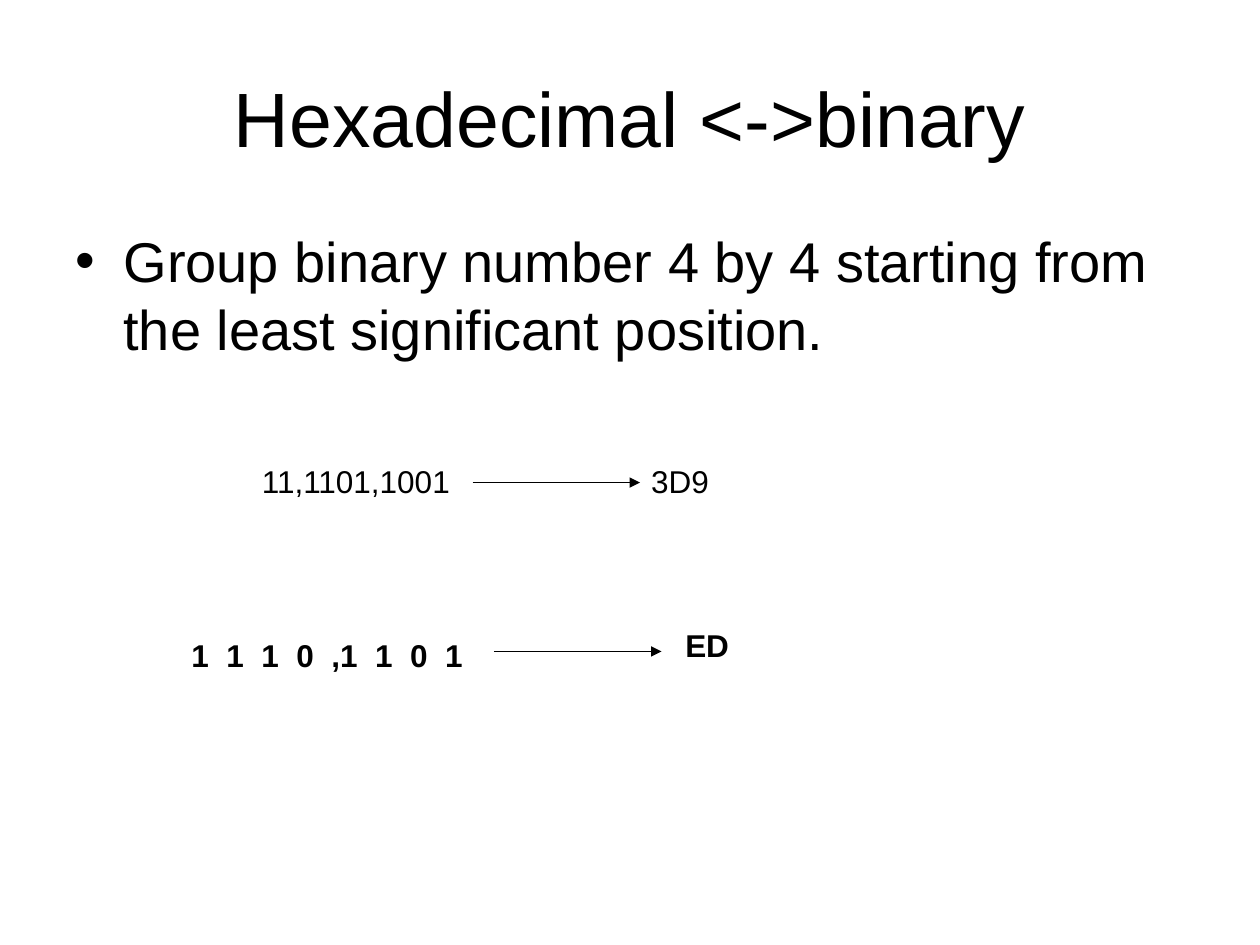
"""Build the slide on converting between hexadecimal and binary."""
import lxml.etree
import pptx
import pptx.dml.color
import pptx.enum.shapes
import pptx.enum.text
import pptx.oxml.ns
import pptx.util

PX = pptx.util.Inches(1) // 100
BLACK = "000000"
FONT = "Arial"
ARROW_LENGTH = 133


def px(length):
    """Turn px, a hundred to the inch, into EMU."""
    return pptx.util.Emu(length * PX)


def color(code):
    """Turn a hex string into a colour."""
    return pptx.dml.color.RGBColor.from_string(code)


def child(parent, tag, **attributes):
    """Append a DrawingML element to a parent."""
    return lxml.etree.SubElement(parent, pptx.oxml.ns.qn(tag), attributes)


def place(shape, box):
    """Move a shape to a box of left, top, width and height."""
    shape.left, shape.top, shape.width, shape.height = map(px, box)


def write(frame, text, size, bold=False):
    """Add one run to the first paragraph and return the paragraph."""
    para = frame.paragraphs[0]
    span = para.add_run()
    span.text = text
    span.font.name = FONT
    span.font.size = pptx.util.Pt(size)
    span.font.bold = bold
    span.font.color.rgb = color(BLACK)
    return para


def add_title(page, box, text):
    """Fill the title placeholder."""
    title = page.shapes.title
    place(title, box)
    frame = title.text_frame
    frame.auto_size = pptx.enum.text.MSO_AUTO_SIZE.NONE
    frame.vertical_anchor = pptx.enum.text.MSO_ANCHOR.MIDDLE
    para = write(frame, text, 44)
    para.alignment = pptx.enum.text.PP_ALIGN.CENTER


def add_body(page, box, text):
    """Fill the body placeholder with one bullet."""
    body = page.placeholders[1]
    place(body, box)
    frame = body.text_frame
    frame.auto_size = pptx.enum.text.MSO_AUTO_SIZE.NONE
    para = write(frame, text, 32)
    para.space_before = pptx.util.Pt(8)
    properties = para._p.get_or_add_pPr()
    properties.set("marL", str(px(38)))
    properties.set("indent", str(px(-38)))
    child(child(properties, "a:buClr"), "a:srgbClr", val=BLACK)
    child(properties, "a:buFont", typeface=FONT)
    child(properties, "a:buChar", char="•")


def add_label(page, box, text, bold):
    """Add an unwrapped text box that fits its text."""
    label = page.shapes.add_textbox(*map(px, box))
    frame = label.text_frame
    frame.word_wrap = False
    frame.auto_size = pptx.enum.text.MSO_AUTO_SIZE.SHAPE_TO_FIT_TEXT
    write(frame, text, 18, bold)


def add_arrow(page, left, top):
    """Add a thin horizontal arrow pointing right."""
    arrow = page.shapes.add_connector(
        pptx.enum.shapes.MSO_CONNECTOR.STRAIGHT,
        px(left), px(top), px(left + ARROW_LENGTH), px(top))
    arrow.line.color.rgb = color(BLACK)
    arrow.line.width = pptx.util.Pt(0.75)
    child(arrow.line._get_or_add_ln(), "a:tailEnd", type="triangle")
    child(arrow._element.spPr, "a:effectLst")


def add_conversion(page, box, binary, arrow, result, bold=False):
    """Add a binary number, an arrow and its hexadecimal result."""
    left, top, width, height = box
    binary_text, binary_width, binary_drop = binary
    arrow_left, arrow_drop = arrow
    result_text, result_width = result
    add_label(page, (left, top + binary_drop, binary_width, height), binary_text, bold)
    add_arrow(page, left + arrow_left, top + arrow_drop)
    result_left = left + width - result_width
    add_label(page, (result_left, top, result_width, height), result_text, bold)


def main():
    """Build and save the deck."""
    deck = pptx.Presentation()
    deck.slide_width, deck.slide_height = px(1000), px(750)
    page = deck.slides.add_slide(deck.slide_layouts[1])
    add_title(page, (50, 30, 900, 125), "Hexadecimal <->binary")
    add_body(page, (50, 175, 900, 495),
             "Group binary number 4 by 4 starting from the least significant position.")
    add_conversion(page, (198, 362, 377, 40), ("11,1101,1001", 175, 0),
                   (177, 21), ("3D9", 68))
    add_conversion(page, (142, 492, 450, 40), ("1  1  1  0  ,1  1  0  1", 239, 8),
                   (250, 25), ("ED", 58), bold=True)
    deck.save("out.pptx")


if __name__ == "__main__":
    main()
